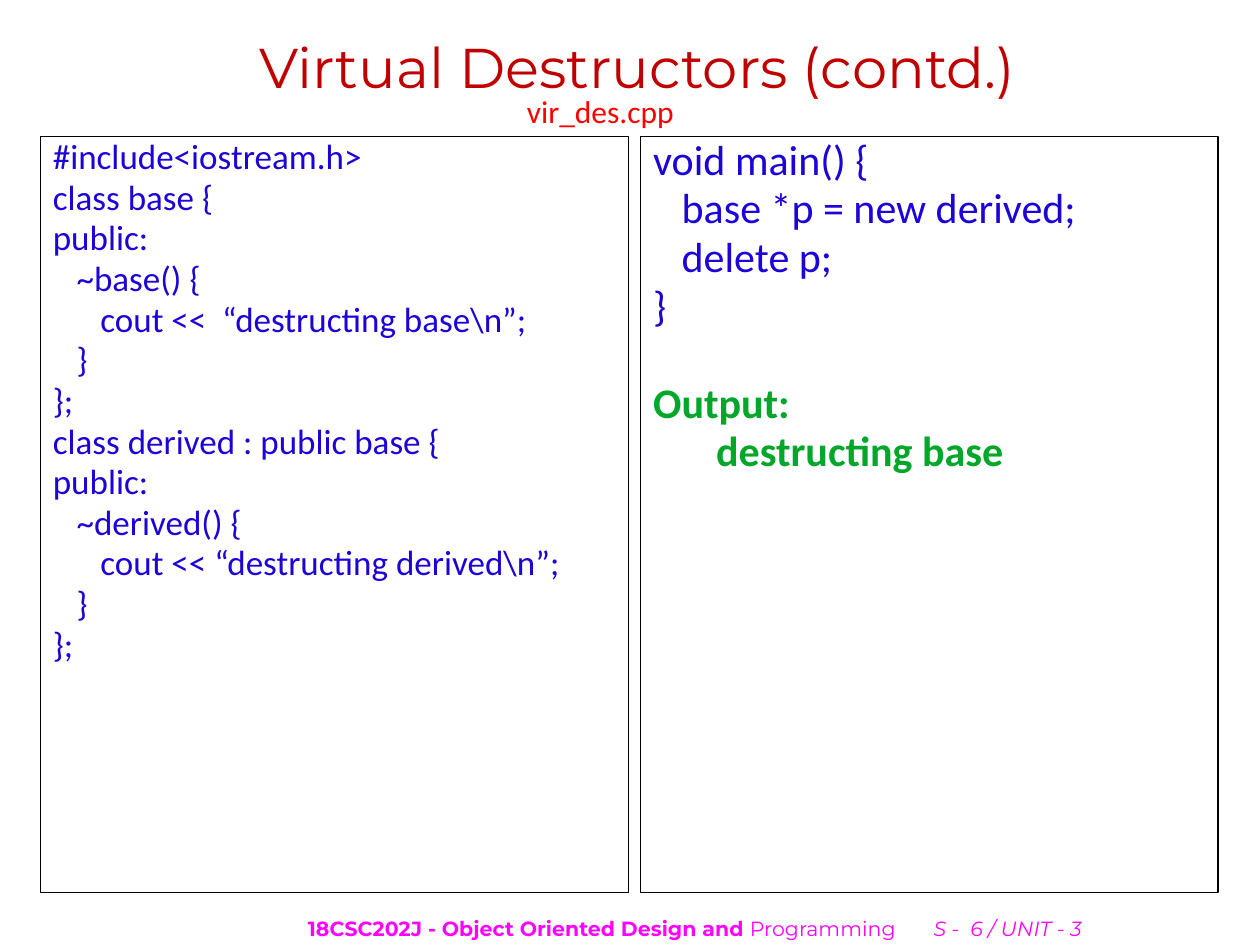
from pptx import Presentation
from pptx.dml.color import RGBColor as RGB
from pptx.enum.text import MSO_ANCHOR as Anchor, MSO_AUTO_SIZE as Fit, PP_ALIGN as Align
from pptx.oxml.ns import qn
from pptx.util import Pt
from lxml.etree import SubElement as Sub

BLUE, GREEN = "1C03D7", "01A729"
LEFT = [(0, "#include<iostream.h>"), (0, "class base {"), (0, "public:"),
        (1, "~base() {"), (2, "cout <<  “destructing base\\n”;"), (1, "}"), (0, "};"),
        (0, "class derived : public base {"), (0, "public:"),
        (1, "~derived() {"), (2, "cout << “destructing derived\\n”;"), (1, "}"), (0, "};")]
RIGHT = [(0, "void main() {"), (1, "base *p = new derived;"), (1, "delete p;"), (0, "}")]


def color(hex):
    return RGB.from_string(hex)


def put(shape, box):
    for name, val in zip(("left", "top", "width", "height"), box):
        setattr(shape, name, Pt(val))


def frame(shape, **opts):
    text = shape.text_frame
    for name, val in {"auto_size": Fit.NONE, "word_wrap": True, **opts}.items():
        setattr(text, name, val)
    return text


def write(para, text, face, size, hex, **opts):
    run = para.add_run()
    run.text = text
    for name, val in {"name": face, "size": Pt(size), **opts}.items():
        setattr(run.font, name, val)
    run.font.color.rgb = color(hex)


def line(text, indent):
    """Add an unbulleted paragraph, indented by the given points."""
    first = text.paragraphs[0]
    para = text.add_paragraph() if first.runs else first
    para.line_spacing = 0.8
    props = para._p.get_or_add_pPr()
    props.set("marL", str(Pt(indent)))
    props.set("indent", "0")
    Sub(props, qn("a:buNone"))
    return para


def code(shape, box, lines, size):
    put(shape, box)
    shape.line.color.rgb = color("000000")
    shape.line.width = Pt(0.75)
    text = frame(shape)
    for depth, words in lines:
        # One code level is about three spaces wide
        write(line(text, depth * 0.68 * size), words, "Calibri", size, BLUE)
    return text


def output(text, size):
    for words, indent, gap in (("Output:", 0, 32.4), ("destructing base", 36, None)):
        para = line(text, indent)
        if gap:
            para.space_before = Pt(gap)
        write(para, words, "Calibri", size, GREEN, bold=True)


def heading(slide, box):
    title = slide.shapes.title
    put(title, box)
    text = frame(title, vertical_anchor=Anchor.MIDDLE, margin_left=Pt(16))
    text.paragraphs[0].alignment = Align.CENTER
    write(text.paragraphs[0], "Virtual Destructors (contd.)", "Montserrat", 32, "C00000")


def label(slide, box):
    text = frame(slide.shapes.add_textbox(*map(Pt, box)), word_wrap=False)
    write(text.paragraphs[0], "vir_des.cpp", "Calibri", 18, "FF0000")


def footer(slide, box):
    text = frame(slide.shapes.add_textbox(*map(Pt, box)),
                 vertical_anchor=Anchor.MIDDLE, margin_left=Pt(84.6))
    para = text.paragraphs[0]
    # The page mark starts at a tab stop
    tabs = Sub(para._p.get_or_add_pPr(), qn("a:tabLst"))
    Sub(tabs, qn("a:tab"), pos=str(Pt(357.6)), algn="l")
    for words, opts in (("18CSC202J - Object Oriented Design and ", {"bold": True}),
                        ("Programming\t", {}),
                        ("S -  6 / UNIT - 3", {"italic": True})):
        write(para, words, "Montserrat", 11.7, "FF00FF", **opts)


def main():
    deck = Presentation()
    deck.slide_width, deck.slide_height = Pt(720), Pt(540)
    slide = deck.slides.add_slide(deck.slide_layouts[3])
    heading(slide, (36, 21.6, 648, 32.4))
    code(slide.placeholders[1], (23, 78, 336, 432), LEFT, 20)
    output(code(slide.placeholders[2], (366, 78, 330, 432), RIGHT, 24), 24)
    label(slide, (294, 49, 99, 29))
    footer(slide, (91.4, 519, 612, 23))
    deck.save("out.pptx")


if __name__ == "__main__":
    main()
